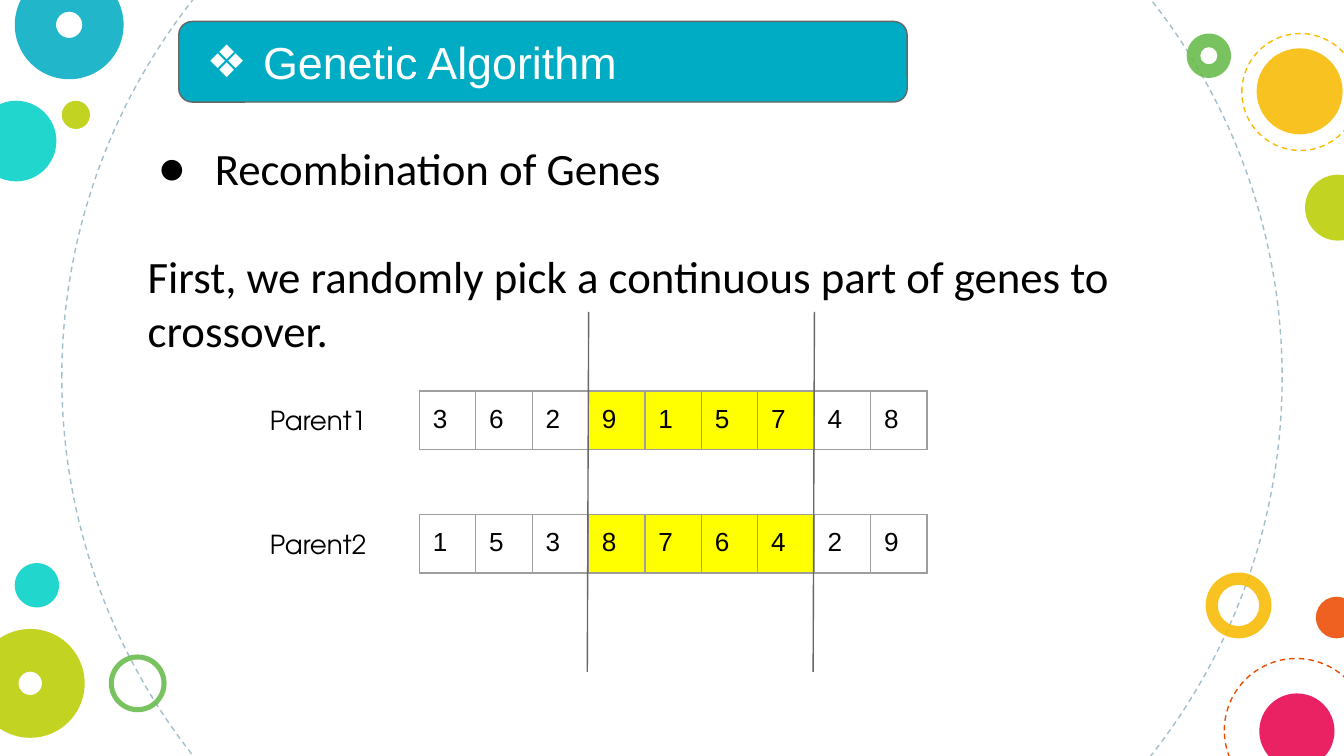
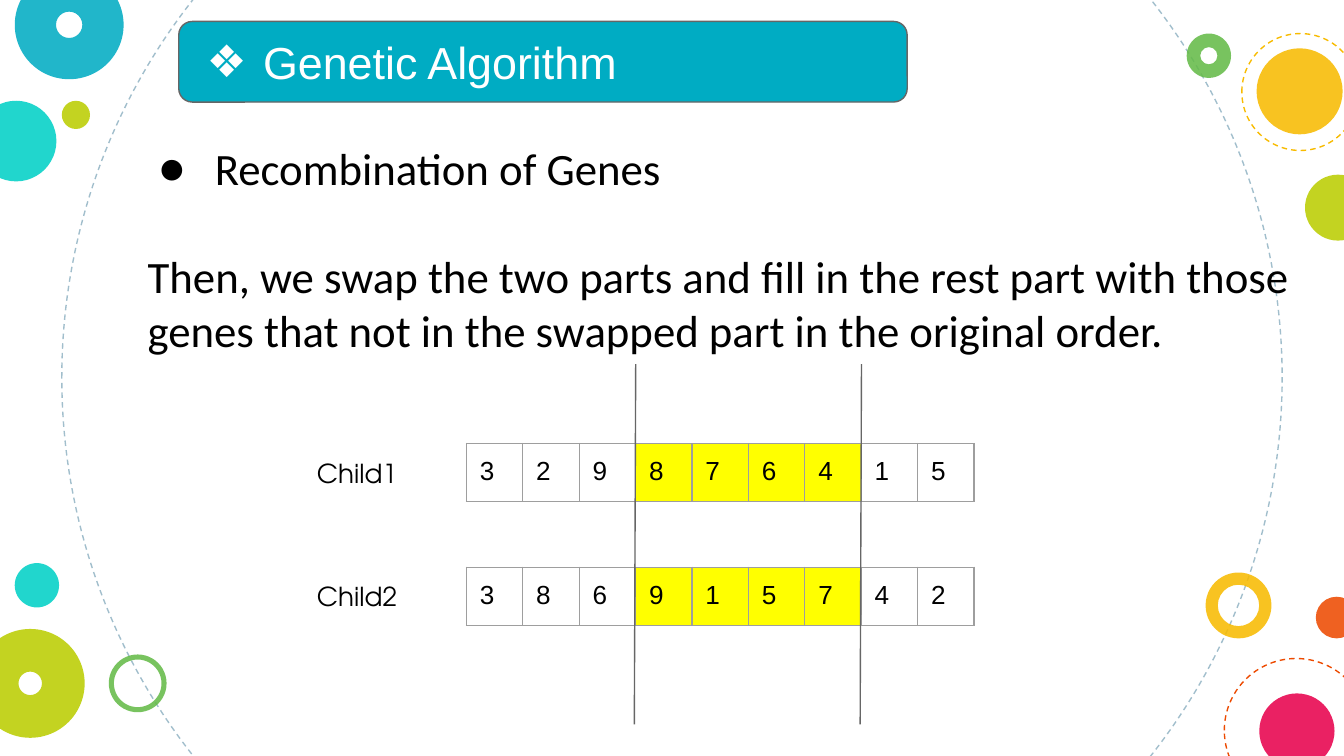
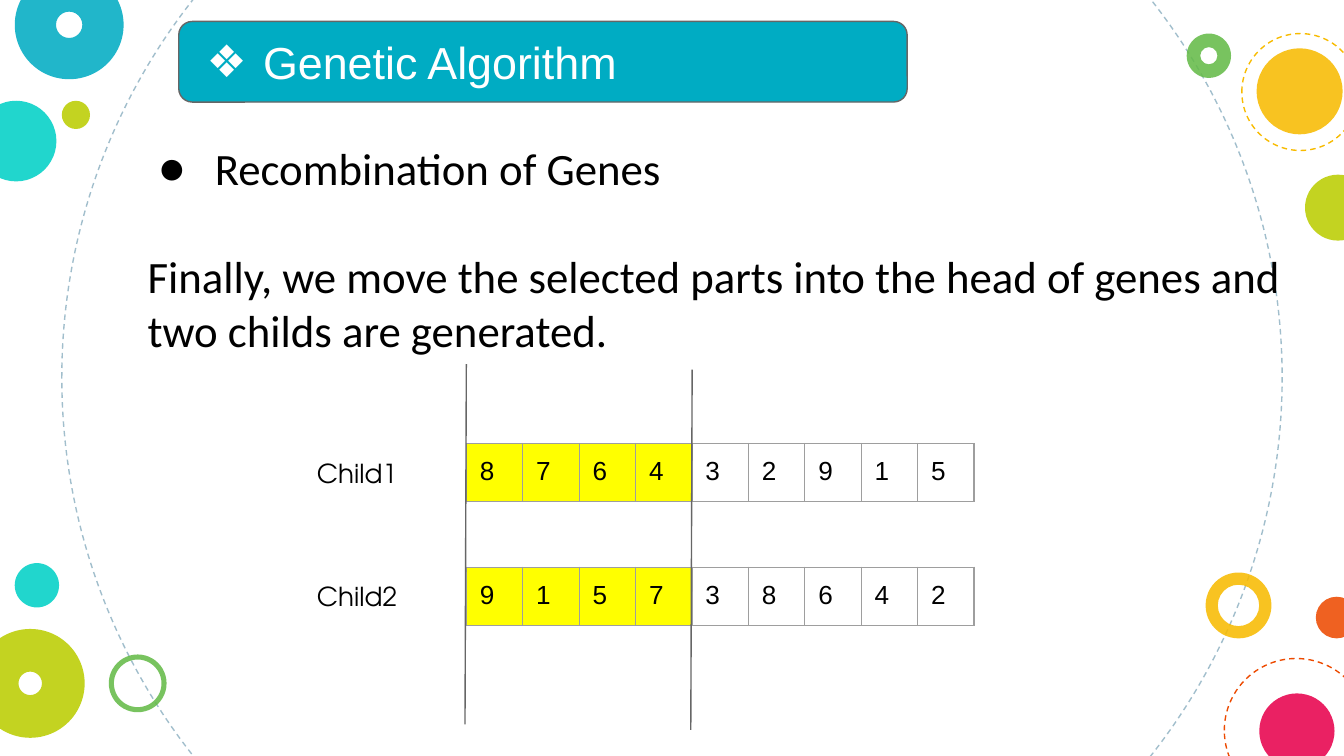
"""Build three slides on how a genetic algorithm recombines genes."""
from lxml.etree import SubElement
from pptx import Presentation
from pptx.dml.color import RGBColor
from pptx.enum.dml import MSO_LINE
from pptx.enum.shapes import MSO_CONNECTOR, MSO_SHAPE
from pptx.enum.text import MSO_ANCHOR, PP_ALIGN
from pptx.oxml.ns import qn
from pptx.util import Inches, Pt

THEME = {
    "teal": "00ACC3", "aqua": "00D1C6", "amber": "F8BB00", "lime": "BBCD00",
    "orange": "ED4A00", "green": "65BB48", "pink": "E8004C", "mist": "A1BECC",
    "grey": "666666", "border": "9E9E9E", "yellow": "FFFF00",
    "black": "000000", "white": "FFFFFF",
    "large": Pt(24), "small": Pt(14), "thin": Pt(0.75), "opacity": "87000",
}
CIRCLES = [
    (0.46, -1.73, 9.08, "mist", "dashed"),
    (-0.18, 0.75, 0.6, "aqua", "disc"),
    (8.97, 4.26, 0.49, "amber", 0.186),
    (0.11, -0.22, 0.81, "teal", 0.379),
    (0.46, 0.75, 0.21, "lime", "disc"),
    (9.11, 4.9, 1.07, "orange", "dashed"),
    (0.81, 4.87, 0.43, "green", 0.088),
    (9.79, 4.44, 0.31, "orange", "disc"),
    (-0.18, 4.68, 0.81, "lime", 0.392),
    (9.37, 5.16, 0.56, "pink", "disc"),
    (8.83, 0.25, 0.33, "green", 0.306),
    (9.35, 0.36, 0.64, "amber", "disc"),
    (9.71, 1.3, 0.49, "lime", "disc"),
    (9.24, 0.25, 0.87, "amber", "dashed"),
    (0.11, 4.19, 0.33, "aqua", "disc"),
]
STEPS = [
    {"text": "First, we randomly pick a continuous part of genes to crossover.",
     "left": 3.12, "top": 2.91, "selected": (3, 7), "divider_tops": (2.32, 2.32),
     "genes": {"Parent1": "362915748", "Parent2": "153876429"}},
    {"text": "Then, we swap the two parts and fill in the rest part with those "
             "genes that not in the swapped part in the original order.",
     "left": 3.47, "top": 3.3, "selected": (3, 7), "divider_tops": (2.71, 2.71),
     "genes": {"Child1": "329876415", "Child2": "386915742"}},
    {"text": "Finally, we move the selected parts into the head of genes and "
             "two childs are generated.",
     "left": 3.47, "top": 3.3, "selected": (0, 4), "divider_tops": (2.71, 2.75),
     "genes": {"Child1": "876432915", "Child2": "915738642"}},
]
CELL_WIDTH, CELL_HEIGHT, ROW_STEP = 0.42, 0.43, 0.92
DIVIDER_LENGTH, LABEL_OFFSET = 2.68, 1.21
MARGINS = {f"margin_{side}": Inches(0.1) for side in ("left", "top", "right", "bottom")}
FRAME = {**MARGINS, "word_wrap": True}


def color(name):
    """Return a theme colour."""
    return RGBColor.from_string(THEME[name])


def write(paragraph, text, font, size, ink="black", bullet=None):
    """Write one left-aligned run, with a hanging bullet when one is given."""
    paragraph.alignment = PP_ALIGN.LEFT
    run = paragraph.add_run()
    run.text = text
    for name, value in {"name": font, "size": THEME[size]}.items():
        setattr(run.font, name, value)
    run.font.color.rgb = color(ink)
    if bullet:
        properties = paragraph._p.get_or_add_pPr()
        properties.set("marL", str(Inches(0.5)))
        properties.set("indent", str(Inches(-0.42)))
        bullet_color = SubElement(properties, qn("a:buClr"))
        SubElement(bullet_color, qn("a:srgbClr"), val=THEME[ink])
        SubElement(properties, qn("a:buSzPts"), val=str(int(THEME[size].pt * 100)))
        SubElement(properties, qn("a:buFont"), typeface=font)
        SubElement(properties, qn("a:buChar"), char=bullet)


presentation = Presentation()
presentation.slide_width = Inches(10)
presentation.slide_height = Inches(10) * 9 // 16
layout = presentation.slide_layouts[6]
for placeholder in list(layout.placeholders):
    layout.shapes.element.remove(placeholder.element)
slides = [presentation.slides.add_slide(layout) for step in STEPS]

circles = []
for left, top, size, tint, style in CIRCLES:
    ring = isinstance(style, float)
    circle = slides[0].shapes.add_shape(
        MSO_SHAPE.DONUT if ring else MSO_SHAPE.OVAL,
        Inches(left), Inches(top), Inches(size), Inches(size))
    circle.shadow.inherit = False
    if ring:
        circle.adjustments[0] = style
    if style == "dashed":
        circle.fill.background()
        circle.line.color.rgb = color(tint)
        for name, value in {"width": THEME["thin"], "dash_style": MSO_LINE.DASH}.items():
            setattr(circle.line, name, value)
    else:
        circle.line.fill.background()
        circle.fill.solid()
        circle.fill.fore_color.rgb = color(tint)
        tint_element = circle.element.spPr.find(".//" + qn("a:srgbClr"))
        SubElement(tint_element, qn("a:alpha"), val=THEME["opacity"])
    circles.append(circle)
for circle in circles:
    layout.shapes.element.append(circle.element)

for slide, step in zip(slides, STEPS):
    banner = slide.shapes.add_shape(
        MSO_SHAPE.ROUNDED_RECTANGLE, Inches(1.33), Inches(0.16), Inches(5.42), Inches(0.6))
    banner.shadow.inherit = False
    banner.fill.solid()
    banner.fill.fore_color.rgb = color("teal")
    banner.line.color.rgb = color("grey")
    banner.line.width = THEME["thin"]
    for name, value in {**FRAME, "vertical_anchor": MSO_ANCHOR.MIDDLE}.items():
        setattr(banner.text_frame, name, value)
    write(banner.text_frame.paragraphs[0], "Genetic Algorithm", "Arial", "large", "white", "❖")

    body = slide.shapes.add_textbox(Inches(1), Inches(0.95), Inches(8.71), Inches(3.72))
    for name, value in FRAME.items():
        setattr(body.text_frame, name, value)
    write(body.text_frame.paragraphs[0], "Recombination of Genes", "Calibri", "large", bullet="●")
    explanation = body.text_frame.add_paragraph()
    explanation.space_before = Pt(29)
    write(explanation, step["text"], "Calibri", "large")

    first, last = step["selected"]
    for row, (label, genes) in enumerate(step["genes"].items()):
        top = Inches(step["top"] + row * ROW_STEP)
        frame = slide.shapes.add_table(
            1, len(genes), Inches(step["left"]), top,
            Inches(CELL_WIDTH * len(genes)), Inches(CELL_HEIGHT))
        table = frame.table
        for name, value in {"first_row": False, "horz_banding": False}.items():
            setattr(table, name, value)
        for column, gene in enumerate(genes):
            table.columns[column].width = Inches(CELL_WIDTH)
            cell = table.cell(0, column)
            for name, value in MARGINS.items():
                setattr(cell, name, value)
            write(cell.text_frame.paragraphs[0], gene, "Arial", "small")
            cell_properties = cell._tc.get_or_add_tcPr()
            for side in ("lnL", "lnR", "lnT", "lnB"):
                border = SubElement(cell_properties, qn(f"a:{side}"), w=str(THEME["thin"]))
                border_fill = SubElement(border, qn("a:solidFill"))
                SubElement(border_fill, qn("a:srgbClr"), val=THEME["border"])
            if first <= column < last:
                cell.fill.solid()
                cell.fill.fore_color.rgb = color("yellow")
            else:
                cell.fill.background()

        caption = slide.shapes.add_textbox(
            Inches(step["left"] - LABEL_OFFSET), top, Inches(1.01), Inches(CELL_HEIGHT))
        for name, value in FRAME.items():
            setattr(caption.text_frame, name, value)
        write(caption.text_frame.paragraphs[0], label, "TeX Gyre Adventor", "small")

    for column, top in zip(step["selected"], step["divider_tops"]):
        left = step["left"] + column * CELL_WIDTH
        divider = slide.shapes.add_connector(
            MSO_CONNECTOR.STRAIGHT, Inches(left), Inches(top),
            Inches(left - 0.01), Inches(top + DIVIDER_LENGTH))
        divider.line.color.rgb = color("grey")
        divider.line.width = THEME["thin"]
        SubElement(divider.element.spPr, qn("a:effectLst"))

presentation.save("out.pptx")
